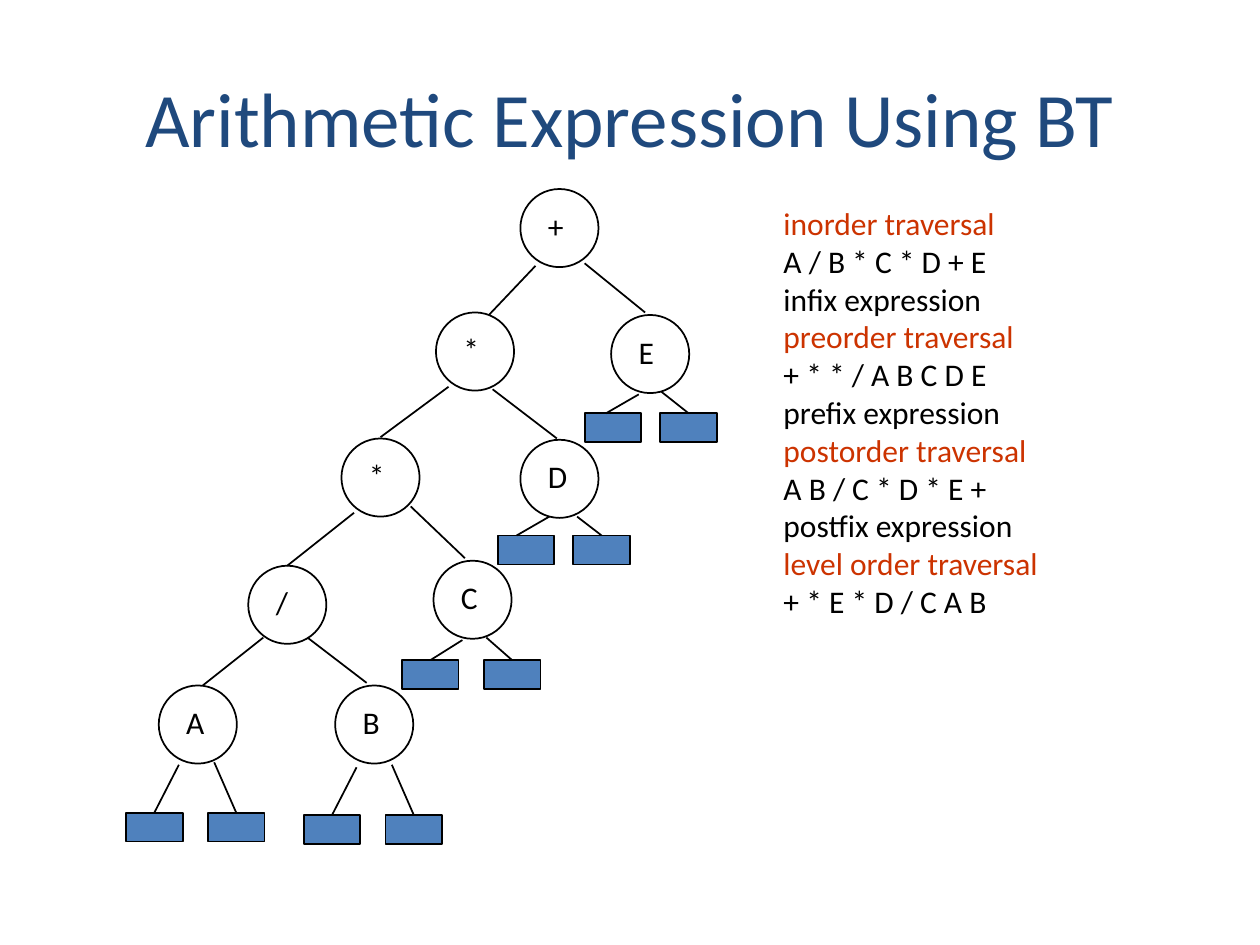
from typing import NamedTuple, Optional

from lxml import etree
from pptx import Presentation
from pptx.dml.color import RGBColor
from pptx.enum.shapes import MSO_CONNECTOR, MSO_SHAPE
from pptx.enum.text import MSO_ANCHOR, MSO_AUTO_SIZE, PP_ALIGN
from pptx.oxml.ns import qn
from pptx.util import Pt

OVAL, RECT = MSO_SHAPE.OVAL, MSO_SHAPE.RECTANGLE
LINE = MSO_CONNECTOR.STRAIGHT
LEFT, CENTER = PP_ALIGN.LEFT, PP_ALIGN.CENTER
TOP, MIDDLE = MSO_ANCHOR.TOP, MSO_ANCHOR.MIDDLE
GROW, FIXED = MSO_AUTO_SIZE.SHAPE_TO_FIT_TEXT, MSO_AUTO_SIZE.NONE

SCALE = 9144  # EMU per px, 100 px to the inch
FONT = "Calibri"
COLORS = {"title": "1F497D", "ink": "000000", "head": "CC3300", "leaf": "4F81BD"}
NODE = 62
LEAF_W, LEAF_H = 45, 23


class Node(NamedTuple):
    label: str
    left: int
    top: int
    width: int  # of the label box


class Edge(NamedTuple):
    x1: int
    y1: int
    x2: int
    y2: int


class Leaf(NamedTuple):
    left: int
    top: int
    x: int  # start of the edge from the parent node
    y: int
    tip: Optional[int] = None  # edge end if away from the middle of the top


NODES = [
    Node("+", 413, 150, 39),
    Node("*", 346, 248, 37),
    Node("E", 485, 250, 40),
    Node("*", 271, 348, 37),
    Node("D", 413, 349, 44),
    Node("/", 197, 449, 29),
    Node("C", 344, 445, 42),
    Node("A", 126, 544, 44),
    Node("B", 266, 544, 42),
]
EDGES = [
    Edge(425, 211, 388, 250),
    Edge(464, 209, 512, 248),
    Edge(356, 307, 302, 347),
    Edge(391, 309, 442, 348),
    Edge(281, 407, 228, 449),
    Edge(326, 402, 369, 443),
    Edge(209, 506, 161, 544),
    Edge(244, 506, 291, 542),
]
LEAVES = [
    Leaf(100, 645, 142, 607),
    Leaf(165, 645, 170, 605),
    Leaf(241, 647, 283, 609),
    Leaf(306, 647, 311, 607),
    Leaf(319, 524, 367, 508),
    Leaf(384, 524, 386, 506),
    Leaf(395, 425, 436, 410, tip=410),
    Leaf(455, 425, 458, 410),
    Leaf(464, 328, 507, 313, tip=481),
    Leaf(524, 328, 525, 311),
]
NOTES = [
    ("inorder traversal", "head"),
    ("A / B * C * D + E", "ink"),
    ("infix expression", "ink"),
    ("preorder traversal", "head"),
    ("+ * * / A B C D E", "ink"),
    ("prefix expression", "ink"),
    ("postorder traversal", "head"),
    ("A B / C * D * E +", "ink"),
    ("postfix expression", "ink"),
    ("level order traversal", "head"),
    ("+ * E * D / C A B", "ink"),
]


def px(*vals: int) -> list[int]:
    return [val * SCALE for val in vals]


def rgb(name: str) -> RGBColor:
    return RGBColor.from_string(COLORS[name])


def write(shape, lines, *, size=18, align=LEFT, anchor=TOP, wrap=False, fit=GROW) -> None:
    """Fill a shape with one paragraph for each (text, colour name) pair."""
    frame = shape.text_frame
    frame.word_wrap, frame.auto_size = wrap, fit
    frame.vertical_anchor = anchor
    for i, (text, color) in enumerate(lines):
        para = frame.add_paragraph() if i else frame.paragraphs[0]
        para.alignment = align
        run = para.add_run()
        run.text = text
        run.font.name, run.font.size = FONT, Pt(size)
        run.font.color.rgb = rgb(color)


def stroke(shape) -> None:
    shape.line.color.rgb = rgb("ink")
    shape.line.width = Pt(1)


def draw_node(shapes, node: Node) -> None:
    group = shapes.add_group_shape().shapes
    ring = group.add_shape(OVAL, *px(node.left, node.top, NODE, NODE))
    ring.shadow.inherit = False
    ring.fill.background()
    stroke(ring)
    label = group.add_textbox(*px(node.left + 12, node.top + 9, node.width, 50))
    write(label, [(node.label, "ink")])


def draw_edge(shapes, edge: Edge):
    line = shapes.add_connector(LINE, *px(*edge))
    stroke(line)
    etree.SubElement(line._element.spPr, qn("a:effectLst"))
    return line


def draw_leaf(shapes, leaf: Leaf) -> None:
    box = shapes.add_shape(RECT, *px(leaf.left, leaf.top, LEAF_W, LEAF_H))
    box.shadow.inherit = False
    box.fill.solid()
    box.fill.fore_color.rgb = rgb("leaf")
    stroke(box)
    tip = leaf.tip or leaf.left + LEAF_W // 2
    line = draw_edge(shapes, Edge(leaf.x, leaf.y, tip, leaf.top))
    if leaf.tip is None:
        line.end_connect(box, 0)


def main() -> None:
    deck = Presentation()
    deck.slide_width, deck.slide_height = px(1000, 750)
    slide = deck.slides.add_slide(deck.slide_layouts[5])
    shapes = slide.shapes

    title = shapes.title
    title.left, title.top, title.width, title.height = px(50, 30, 900, 125)
    write(title, [("Arithmetic Expression Using BT", "title")], size=44,
          align=CENTER, anchor=MIDDLE, wrap=True, fit=FIXED)

    for node in NODES:
        draw_node(shapes, node)
    for edge in EDGES:
        draw_edge(shapes, edge)
    for leaf in LEAVES:
        draw_leaf(shapes, leaf)
    write(shapes.add_textbox(*px(612, 157, 286, 449)), NOTES)

    deck.save("out.pptx")


if __name__ == "__main__":
    main()
